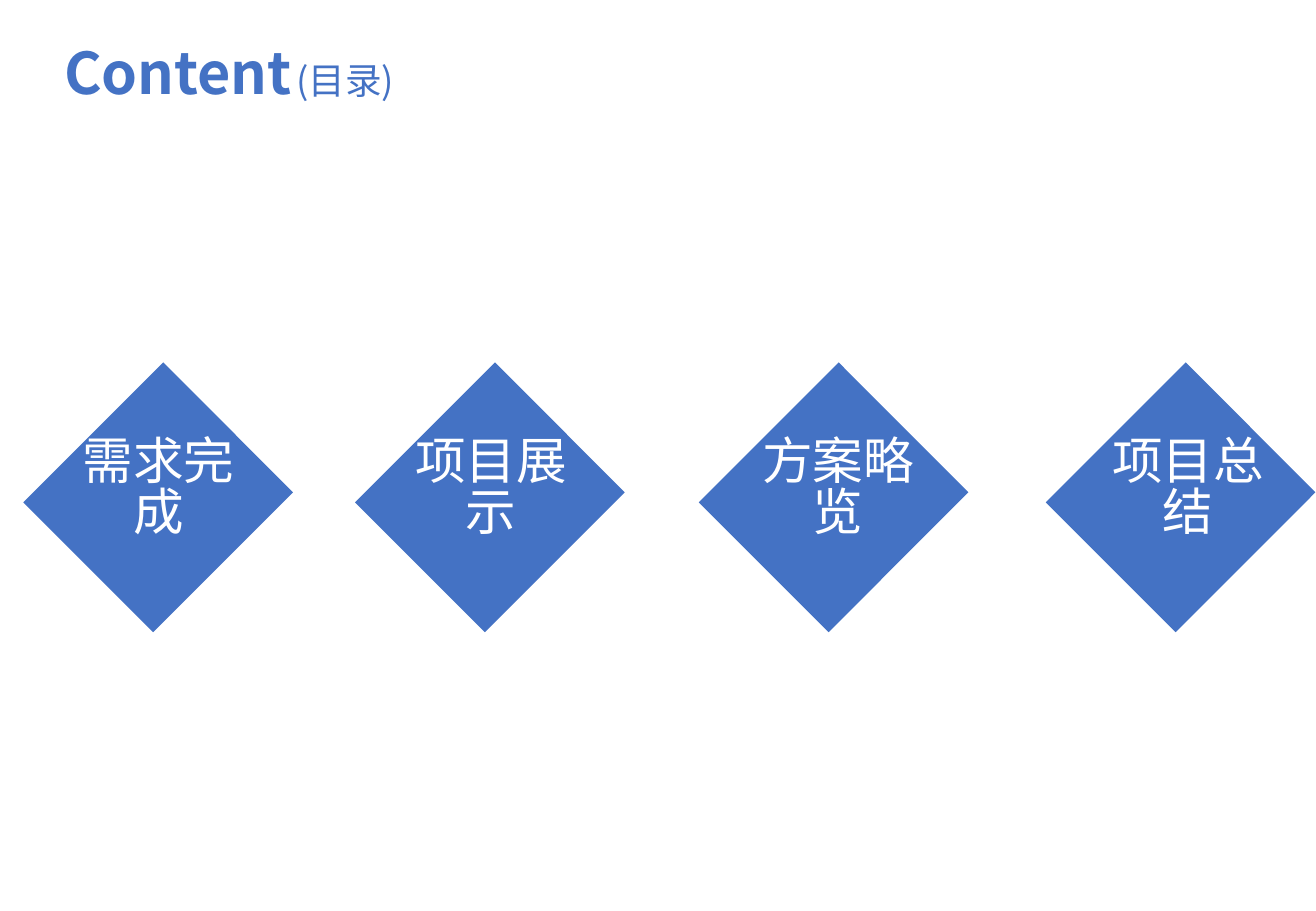
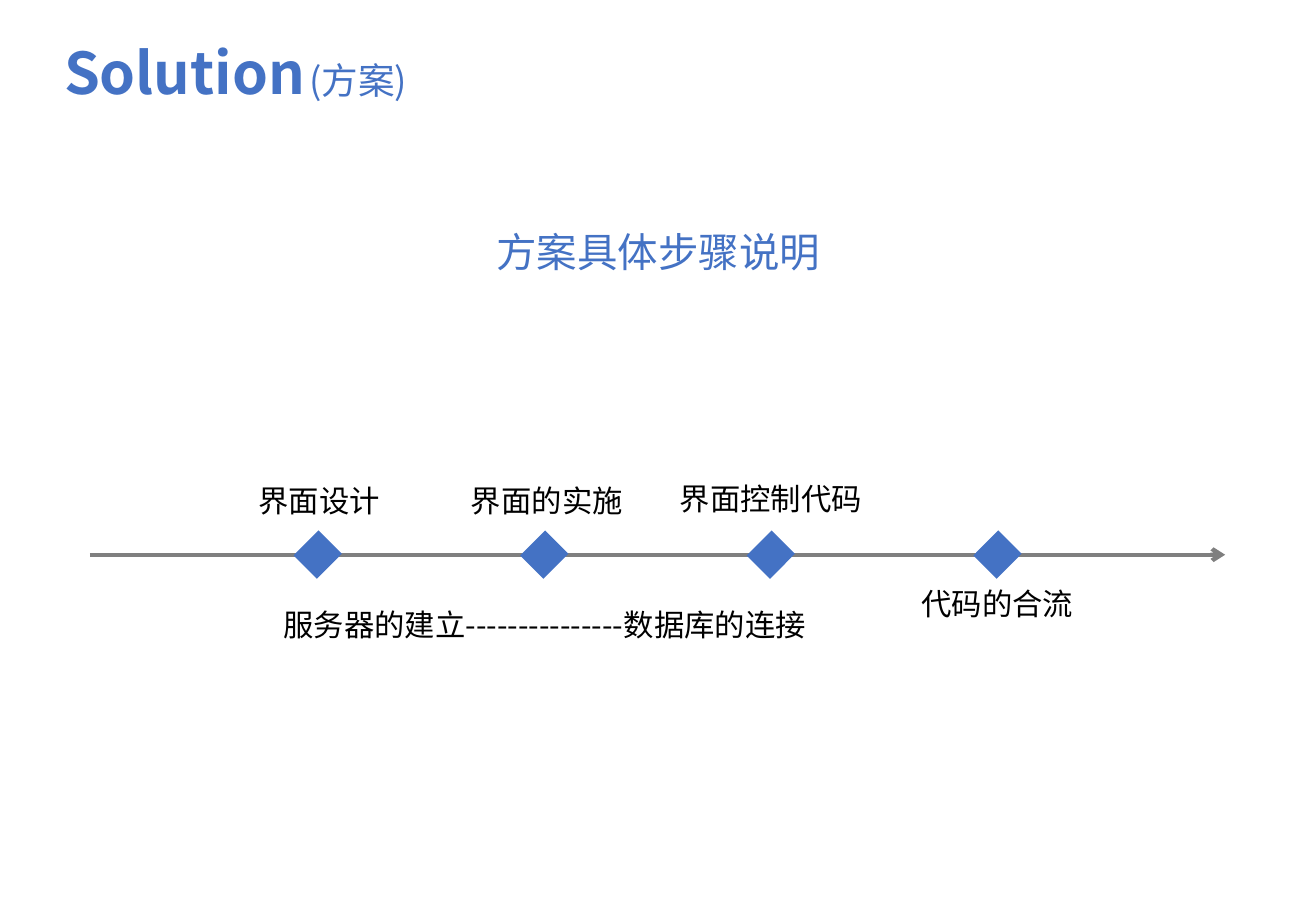
from lxml import etree
from pptx import Presentation
from pptx.dml.color import RGBColor
from pptx.enum.shapes import MSO_CONNECTOR, MSO_SHAPE
from pptx.enum.text import PP_ALIGN
from pptx.oxml.ns import qn
from pptx.util import Cm, Pt

RECTANGLE = MSO_SHAPE.RECTANGLE
STRAIGHT = MSO_CONNECTOR.STRAIGHT
LEFT, CENTER = PP_ALIGN.LEFT, PP_ALIGN.CENTER

FONT = "Noto Sans CJK SC"
BLUE, GRAY, BLACK, WHITE = "4472C4", "7F7F7F", "000000", "FFFFFF"
TITLE_BOX = (1.09, 0.81, 22.1, 1.8)

TOPICS = [
    ("需求完成", 1.24, 0.21),
    ("项目展示", 8.18, 0.23),
    ("方案略览", 15.37, 0.3),
    ("项目总结", 22.63, 0.36),
]
STEP_LABELS = [
    ("界面设计", (2.79, 0, 4.01, 1.02), CENTER),
    ("界面的实施", (7.67, 0, 3.78, 1.02), CENTER),
    ("界面控制代码", (12.09, -0.03, 4.6, 1.02), LEFT),
    ("服务器的建立---------------数据库的连接", (1.35, 2.59, 16.33, 1.02), CENTER),
    ("代码的合流", (15.9, 2.16, 6.17, 1.02), CENTER),
]


def color(value):
    return RGBColor.from_string(value)


def set_east_asian_font(span):
    properties = span.font._element
    latin = properties.find(qn("a:latin"))
    east_asian = etree.Element(qn("a:ea"), typeface=FONT)
    if latin is None:
        properties.append(east_asian)
    else:
        latin.addnext(east_asian)


def style_font(font, size, tint, bold=False):
    font.name = FONT
    font.size = Pt(size)
    font.bold = bold
    font.color.rgb = color(tint)


def add_box(page, place, top_inset):
    box = page.shapes.add_textbox(*map(Cm, place))
    frame = box.text_frame
    frame.word_wrap = True
    frame.margin_top = Cm(top_inset)
    return frame.paragraphs[0]


def add_text(page, place, text, size, tint, align=CENTER):
    para = add_box(page, place, 0.2)
    para.alignment = align
    para.line_spacing = 0.83
    style_font(para.font, size, tint)
    span = para.add_run()
    span.text = text
    set_east_asian_font(span)


def add_title(page, english, chinese):
    para = add_box(page, TITLE_BOX, 0.13)
    para.line_spacing = 0.9
    parts = [(english, 34.1, True), (" ", 10.8, True), (f"({chinese})", 21.7, False)]
    for text, size, bold in parts:
        span = para.add_run()
        span.text = text
        style_font(span.font, size, BLUE, bold)
        set_east_asian_font(span)


def add_diamond(page, place, rotation):
    diamond = page.shapes.add_shape(RECTANGLE, *map(Cm, place))
    diamond.rotation = rotation
    diamond.shadow.inherit = False
    diamond.fill.solid()
    diamond.fill.fore_color.rgb = color(BLUE)
    diamond.line.fill.background()


def add_arrow(page, left, top, length):
    arrow = page.shapes.add_connector(
        STRAIGHT, Cm(left), Cm(top), Cm(left + length), Cm(top)
    )
    arrow.line.color.rgb = color(GRAY)
    arrow.line.width = Pt(2.5)
    etree.SubElement(arrow.line._get_or_add_ln(), qn("a:tailEnd"), type="arrow")
    etree.SubElement(arrow._element.spPr, qn("a:effectLst"))


def add_topic(page, left, top, text, text_offset):
    add_diamond(page, (left, top, 4.14, 3.84), 315)
    add_text(page, (left + text_offset, top + 0.51, 3.73, 2.79), text, 30, WHITE)


def add_timeline(page, left, top):
    add_arrow(page, left, top + 1.59, 23.75)
    for index in range(4):
        add_diamond(page, (left + 4.42 + 4.74 * index, top + 1.22, 0.69, 0.74), 45)
    for text, (x, y, width, height), align in STEP_LABELS:
        add_text(page, (left + x, top + y, width, height), text, 18, BLACK, align)


def build_contents(page):
    add_title(page, "Content", "目录")
    for text, left, text_offset in TOPICS:
        add_topic(page, left, 8.48, text, text_offset)


def build_solution(page):
    add_title(page, "Solution", "方案")
    add_text(page, (1.96, 4.72, 23.62, 1.27), "方案具体步骤说明", 24, BLUE)
    add_timeline(page, 1.88, 10.01)


def main():
    deck = Presentation()
    deck.slide_width, deck.slide_height = Cm(27.53), Cm(19.05)
    for build in (build_contents, build_solution):
        build(deck.slides.add_slide(deck.slide_layouts[6]))
    deck.save("out.pptx")


if __name__ == "__main__":
    main()
